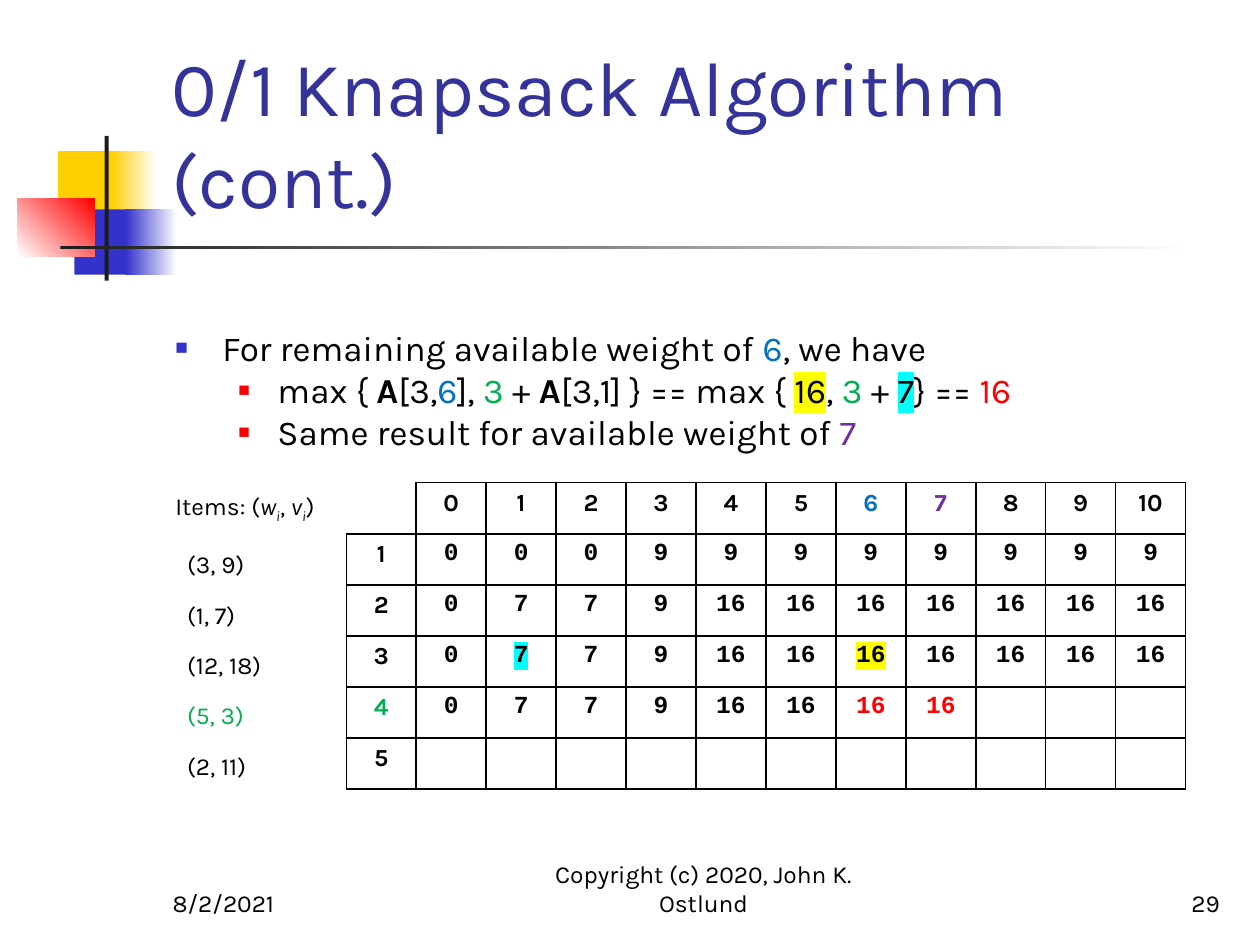
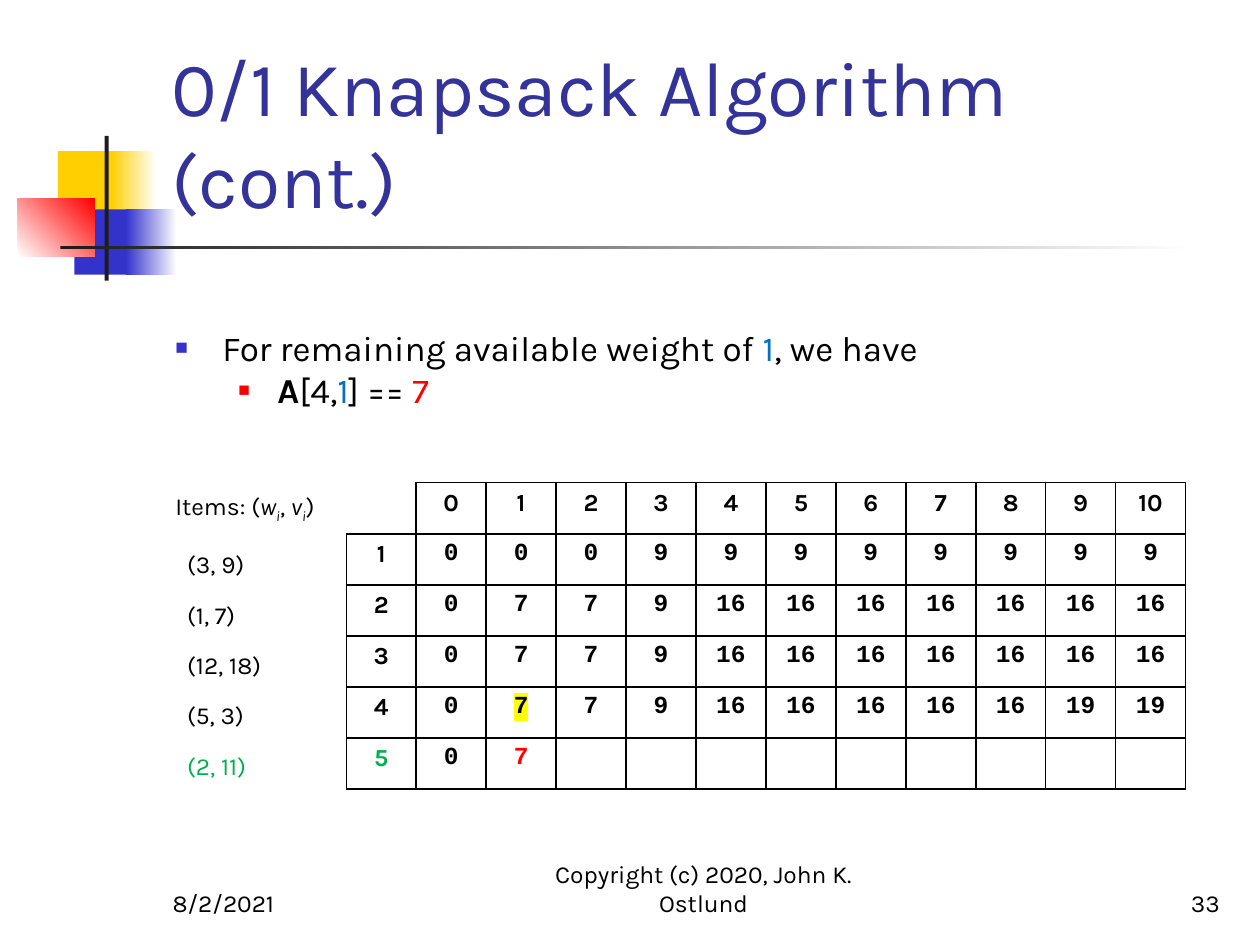
from typing import NamedTuple

import lxml.etree
import pptx
import pptx.dml.color
import pptx.enum.shapes
import pptx.enum.text
import pptx.oxml.ns
import pptx.util
from pptx.util import Cm, Pt

# Shared colours and fonts
BLACK, WHITE, INK = "000000", "FFFFFF", "1C1C1C"
GOLD, NAVY, RED, TITLE = "FFCF01", "3333CC", "FF0000", "333399"
BLUE, GREEN, PURPLE = "0070C0", "00B050", "7030A0"
YELLOW, CYAN = "FFFF00", "00FFFF"
SANS, MONO = "Karla", "Courier New"
LEFT, CENTER, RIGHT = (pptx.enum.text.PP_ALIGN.LEFT, pptx.enum.text.PP_ALIGN.CENTER,
                       pptx.enum.text.PP_ALIGN.RIGHT)
BOTTOM = pptx.enum.text.MSO_ANCHOR.BOTTOM


class Run(NamedTuple):
    text: str
    colour: str = BLACK
    highlight: str = ""
    bold: bool = False
    italic: bool = False
    sub: bool = False


class Mark(NamedTuple):
    colour: str = BLACK
    highlight: str = ""


class Band(NamedTuple):
    left: float
    top: float
    width: float
    height: float
    start: str
    end: str = ""
    angle: int = 0


class Level(NamedTuple):
    margin: float
    hang: float
    colour: str
    percent: int


class Step(NamedTuple):
    number: str
    bullets: list[list[Run]]
    items_gap: float
    current_item: int
    rows: list[str]
    marks: dict[tuple[int, int], Mark]


# Parts found on every slide, in centimetres
BANDS = [
    Band(1.17, 3.05, 1.22, 1.32, GOLD),
    Band(2.24, 3.05, 0.91, 1.32, GOLD, WHITE),
    Band(1.5, 4.22, 1.17, 1.32, NAVY),
    Band(2.54, 4.22, 1.02, 1.32, NAVY, WHITE),
    Band(0.36, 4.01, 1.55, 1.17, WHITE, RED, 45),
    Band(2.11, 2.74, 0.08, 2.92, INK),
    Band(1.22, 4.95, 22.86, 0.08, INK, WHITE),
]
LEVELS = [Level(0.95, 0.95, NAVY, 60), Level(2.06, 0.79, RED, 55)]
ITEMS = ["(3, 9)", "(1, 7)", "(12, 18)", "(5, 3)", "(2, 11)"]
ITEMS_HEADING = [
    Run("Items: ("), Run("w", italic=True), Run("i", italic=True, sub=True), Run(", "),
    Run("v", italic=True), Run("i", italic=True, sub=True), Run(")"),
]
SOLVED_ROWS = ["0 0 0" + " 9" * 8] + ["0 7 7 9" + " 16" * 7] * 2
CAPACITY = 10

# What changes from slide to slide; marks are keyed by table row and column
STEPS = [
    Step("29", [
        [Run("For remaining available weight of "), Run("6", BLUE), Run(", we have")],
        [Run("max { "), Run("A", bold=True), Run("[3,"), Run("6", BLUE), Run("], "),
         Run("3", GREEN), Run(" + "), Run("A", bold=True), Run("[3,1] } == max { "),
         Run("16", highlight=YELLOW), Run(", "), Run("3", GREEN), Run(" + "),
         Run("7", highlight=CYAN), Run("} == "), Run("16", RED)],
        [Run("Same result for available weight of "), Run("7", PURPLE)],
    ], 21.6, 4, SOLVED_ROWS + ["0 7 7 9" + " 16" * 4, ""], {
        (0, 7): Mark(BLUE), (0, 8): Mark(PURPLE),
        (3, 2): Mark(highlight=CYAN), (3, 7): Mark(highlight=YELLOW),
        (4, 7): Mark(RED), (4, 8): Mark(RED),
    }),
    Step("33", [
        [Run("For remaining available weight of "), Run("1", BLUE), Run(", we have")],
        [Run("A", bold=True), Run("[4,"), Run("1", BLUE), Run("] == "), Run("7", RED)],
    ], 45.6, 5, SOLVED_ROWS + ["0 7 7 9" + " 16" * 5 + " 19 19", "0 7"], {
        (4, 2): Mark(highlight=YELLOW), (5, 2): Mark(RED),
    }),
]


def rgb(colour: str) -> pptx.dml.color.RGBColor:
    return pptx.dml.color.RGBColor.from_string(colour)


def add_xml(parent, tag: str, **attributes: str):
    child = lxml.etree.SubElement(parent, pptx.oxml.ns.qn(tag))
    for name, value in attributes.items():
        child.set(name, value)
    return child


def format_run(r, size: float, colour: str = BLACK, font: str = SANS,
               highlight: str = "") -> None:
    r.font.size = Pt(size)
    r.font.color.rgb = rgb(colour)
    if highlight:
        add_xml(add_xml(r.font._element, "a:highlight"), "a:srgbClr", val=highlight)
    r.font.name = font


def add_runs(p, runs: list[Run], size: float) -> None:
    for run in runs:
        r = p.add_run()
        r.text = run.text
        format_run(r, size, run.colour, highlight=run.highlight)
        r.font.bold, r.font.italic = run.bold, run.italic
        if run.sub:
            r.font._element.set("baseline", "-25000")


def place(sp, left: float, top: float, width: float, height: float) -> None:
    sp.left, sp.top, sp.width, sp.height = Cm(left), Cm(top), Cm(width), Cm(height)


# Decoration behind the title
def draw_bands(s) -> None:
    for i, band in enumerate(BANDS):
        sp = s.shapes.add_shape(pptx.enum.shapes.MSO_SHAPE.RECTANGLE, Cm(band.left),
                                Cm(band.top), Cm(band.width), Cm(band.height))
        sp.shadow.inherit = False
        sp.line.fill.background()
        if band.end:
            sp.fill.gradient()
            sp.fill.gradient_angle = band.angle
            for stop, colour, at in zip(sp.fill.gradient_stops, (band.start, band.end), (0, 1)):
                stop.color.rgb = rgb(colour)
                stop.position = at
        else:
            sp.fill.solid()
            sp.fill.fore_color.rgb = rgb(band.start)
        sp.element.getparent().insert(2 + i, sp.element)


def draw_title(s) -> None:
    sp = s.shapes.title
    place(sp, 3.2, 0.58, 21.64, 4.06)
    tf = sp.text_frame
    tf.text = "0/1 Knapsack Algorithm (cont.)"
    tf.auto_size = pptx.enum.text.MSO_AUTO_SIZE.NONE
    tf.vertical_anchor = BOTTOM
    p = tf.paragraphs[0]
    p.alignment = LEFT
    format_run(p.runs[0], 44, TITLE)


# Bullets, then the list of items beside the table
def set_indent(p, margin: float, hang: float = 0):
    pPr = p._p.get_or_add_pPr()
    pPr.set("marL", str(Cm(margin)))
    pPr.set("indent", str(-Cm(hang)))
    return pPr


def add_item(tf, runs: list[Run], gap: float, margin: float = 0) -> None:
    p = tf.add_paragraph()
    add_xml(set_indent(p, margin), "a:buNone")
    p.space_before = Pt(gap)
    add_runs(p, runs, 14)


def draw_body(s, step: Step) -> None:
    sp = s.placeholders[1]
    place(sp, 3.28, 6.46, 21.59, 10.58)
    tf = sp.text_frame
    tf.auto_size = pptx.enum.text.MSO_AUTO_SIZE.NONE
    for i, runs in enumerate(step.bullets):
        p = tf.add_paragraph() if i else tf.paragraphs[0]
        p.level = min(i, 1)
        level = LEVELS[p.level]
        pPr = set_indent(p, level.margin, level.hang)
        add_xml(add_xml(pPr, "a:buClr"), "a:srgbClr", val=level.colour)
        add_xml(pPr, "a:buSzPct", val=str(level.percent * 1000))
        add_xml(pPr, "a:buChar", char="■")
        p.space_before = Pt(0)
        add_runs(p, runs, 20)

    add_item(tf, ITEMS_HEADING, step.items_gap)
    for i, item in enumerate(ITEMS, start=1):
        colour = GREEN if i == step.current_item else BLACK
        add_item(tf, [Run(item, colour)], 14.4 if i == 1 else 12, 0.24)


# Table of best values by item and capacity
def set_borders(cell, hidden: str = "") -> None:
    tcPr = cell._tc.get_or_add_tcPr()
    for side in "LRTB":
        line = add_xml(tcPr, f"a:ln{side}", w=str(Pt(1)))
        if side in hidden:
            add_xml(line, "a:noFill")
        else:
            add_xml(add_xml(line, "a:solidFill"), "a:srgbClr", val=BLACK)


def draw_table(s, step: Step) -> None:
    grid = [["", *map(str, range(CAPACITY + 1))]]
    grid += [[str(i), *row.split()] for i, row in enumerate(step.rows, start=1)]
    marks = {**step.marks, (step.current_item, 0): Mark(GREEN)}
    table = s.shapes.add_table(len(grid), CAPACITY + 2, Cm(6.98), Cm(9.73),
                               Cm(16.93), Cm(6.18)).table
    table.first_row = table.horz_banding = False
    for row in table.rows:
        row.height = Cm(1.03)
    for i in range(len(grid)):
        for j in range(CAPACITY + 2):
            cell = table.cell(i, j)
            set_borders(cell, "LT" if i == j == 0 else "")
            cell.fill.background()
            cell.margin_bottom = 0
            if j >= len(grid[i]) or not grid[i][j]:
                continue
            cell.text_frame.text = grid[i][j]
            p = cell.text_frame.paragraphs[0]
            p.alignment = CENTER
            mark = marks.get((i, j), Mark())
            format_run(p.runs[0], 14, mark.colour, MONO if i and j else SANS, mark.highlight)
            p.runs[0].font.bold = True


def draw_footer(s, number: str) -> None:
    for text, left, width, alignment in [
        ("8/2/2021", 3.23, 5.28, LEFT),
        ("Copyright (c) 2020, John K. Ostlund", 10.16, 8.05, CENTER),
        (number, 19.56, 5.28, RIGHT),
    ]:
        tf = s.shapes.add_textbox(Cm(left), Cm(17.35), Cm(width), Cm(1.27)).text_frame
        tf.word_wrap = True
        tf.vertical_anchor = BOTTOM
        tf.text = text
        p = tf.paragraphs[0]
        p.alignment = alignment
        format_run(p.runs[0], 14)


def main() -> None:
    prs = pptx.Presentation()
    prs.slide_width, prs.slide_height = Cm(25.4), Cm(19.05)
    for step in STEPS:
        s = prs.slides.add_slide(prs.slide_layouts[1])
        draw_bands(s)
        draw_title(s)
        draw_body(s, step)
        draw_table(s, step)
        draw_footer(s, step.number)
    prs.save("out.pptx")


if __name__ == "__main__":
    main()
